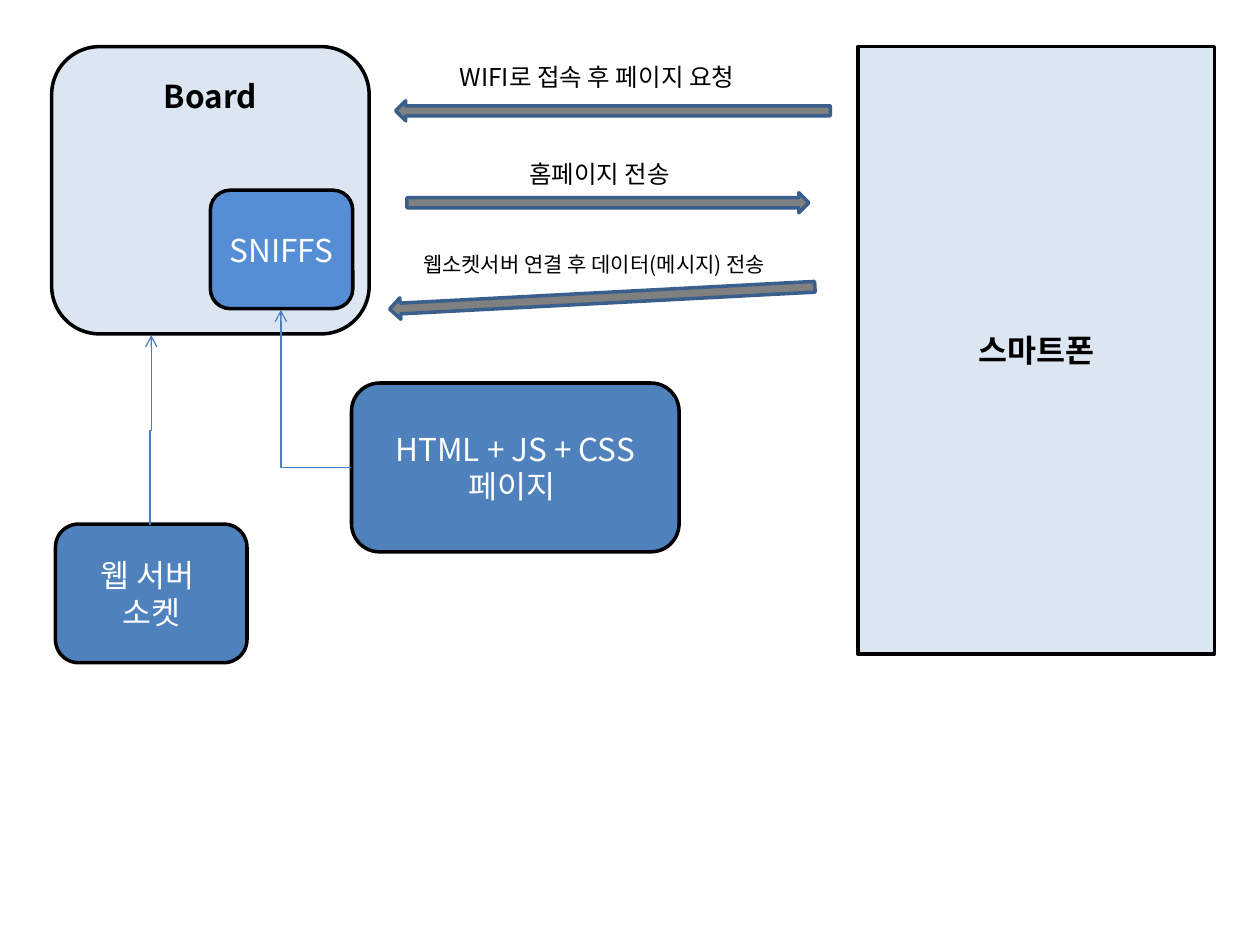
from lxml import etree
from pptx import Presentation
from pptx import util as u
from pptx.dml.color import RGBColor
from pptx.enum import shapes, text
from pptx.oxml.ns import qn

FONT = "Noto Sans CJK KR"
COLORS = {key: RGBColor.from_string(value) for key, value in {
    "pale": "DCE6F2", "mid": "558ED5", "blue": "4F81BD", "gray": "808080",
    "edge": "3A5F8C", "wire": "4B7EBC", "black": "000000", "white": "FFFFFF",
}.items()}
KIND = shapes.MSO_SHAPE
BOARD = "Board"

deck = Presentation()
deck.slide_width, deck.slide_height = u.Inches(10), u.Inches(7.5)
page = deck.slides.add_slide(deck.slide_layouts[6])
COL, ROW = deck.slide_width / 100, deck.slide_height / 75


def grid(*lengths):
    """Turn alternating columns and rows into slide lengths."""
    return [round(n * (ROW if i % 2 else COL)) for i, n in enumerate(lengths)]


def write(box, words, size, color, bold=False, align=None):
    frame = box.text_frame
    frame.text = words
    para = frame.paragraphs[0]
    para.alignment = align
    for span in para.runs:
        span.font.name, span.font.size, span.font.bold = FONT, u.Pt(size), bold
        span.font.color.rgb = COLORS[color]
        etree.SubElement(span.font._element, qn("a:ea"), typeface=FONT)


# Devices, their parts and the message arrows
blocks = [
    (KIND.ROUNDED_RECTANGLE, (4.1, 3.7, 25.2, 22.8), "pale", BOARD, "black"),
    (KIND.ROUNDED_RECTANGLE, (16.7, 15.1, 11.3, 9.4), "mid", "SNIFFS", "white"),
    (KIND.ROUNDED_RECTANGLE, (27.9, 30.4, 26, 13.4), "blue", "HTML + JS + CSS\v페이지 ", "white"),
    (KIND.ROUNDED_RECTANGLE, (4.4, 41.6, 15.2, 11), "blue", "웹 서버 \v소켓", "white"),
    (KIND.RECTANGLE, (68.1, 3.7, 28.3, 48.2), "pale", "스마트폰", "black"),
    (KIND.LEFT_ARROW, (31.4, 8, 34.5, 1.6), "gray", "", None),
    (KIND.RIGHT_ARROW, (32.3, 15.3, 31.9, 1.6), "gray", "", None),
    (KIND.LEFT_ARROW, (30.9, 22.8, 33.8, 1.7), "gray", "", None),
]
for kind, place, fill, words, ink in blocks:
    box = page.shapes.add_shape(kind, *grid(*place))
    box.shadow.inherit = False
    box.fill.solid()
    box.fill.fore_color.rgb = COLORS[fill]
    box.line.color.rgb = COLORS["black" if words else "edge"]
    box.line.width = u.Pt(2)
    if words:
        write(box, words, 18, ink, ink == "black", text.PP_ALIGN.CENTER)
        box.text_frame.vertical_anchor = text.MSO_ANCHOR.MIDDLE
    if words == BOARD:
        box.text_frame.vertical_anchor = text.MSO_ANCHOR.TOP
        box.text_frame.margin_top = u.Inches(0.13)
box.rotation = 357  # the last message slopes down towards the board

# Message labels
labels = [
    ((35.5, 4.4, 26.3, 3.4), "WIFI로 접속 후 페이지 요청", 14),
    ((41, 12.1, 14.5, 3.4), "홈페이지 전송", 14),
    ((32.6, 19.5, 32.3, 3), "웹소켓서버 연결 후 데이터(메시지) 전송", 12),
]
for place, words, size in labels:
    label = page.shapes.add_textbox(*grid(*place))
    label.text_frame.word_wrap = False
    label.text_frame.auto_size = text.MSO_AUTO_SIZE.SHAPE_TO_FIT_TEXT
    write(label, words, size, "black")

# Elbow wires: ends before turning, preset, quarter turns
wires = [
    ((27.9, 37.1, 22.3, 24.6), "bentConnector2", 0),
    ((19.5, 34.2, 4.4, 34.1), "bentConnector3", 1),
]
for ends, preset, turns in wires:
    wire = page.shapes.add_connector(shapes.MSO_CONNECTOR.ELBOW, *grid(*ends))
    wire.line.color.rgb = COLORS["wire"]
    wire.line.width = u.Pt(0.75)
    etree.SubElement(wire.line._get_or_add_ln(), qn("a:tailEnd"), type="arrow")
    props = wire._element.spPr
    props.find(qn("a:prstGeom")).set("prst", preset)
    props.find(qn("a:xfrm")).set("rot", str(turns * 5400000))
    etree.SubElement(props, qn("a:effectLst"))

deck.save("out.pptx")
